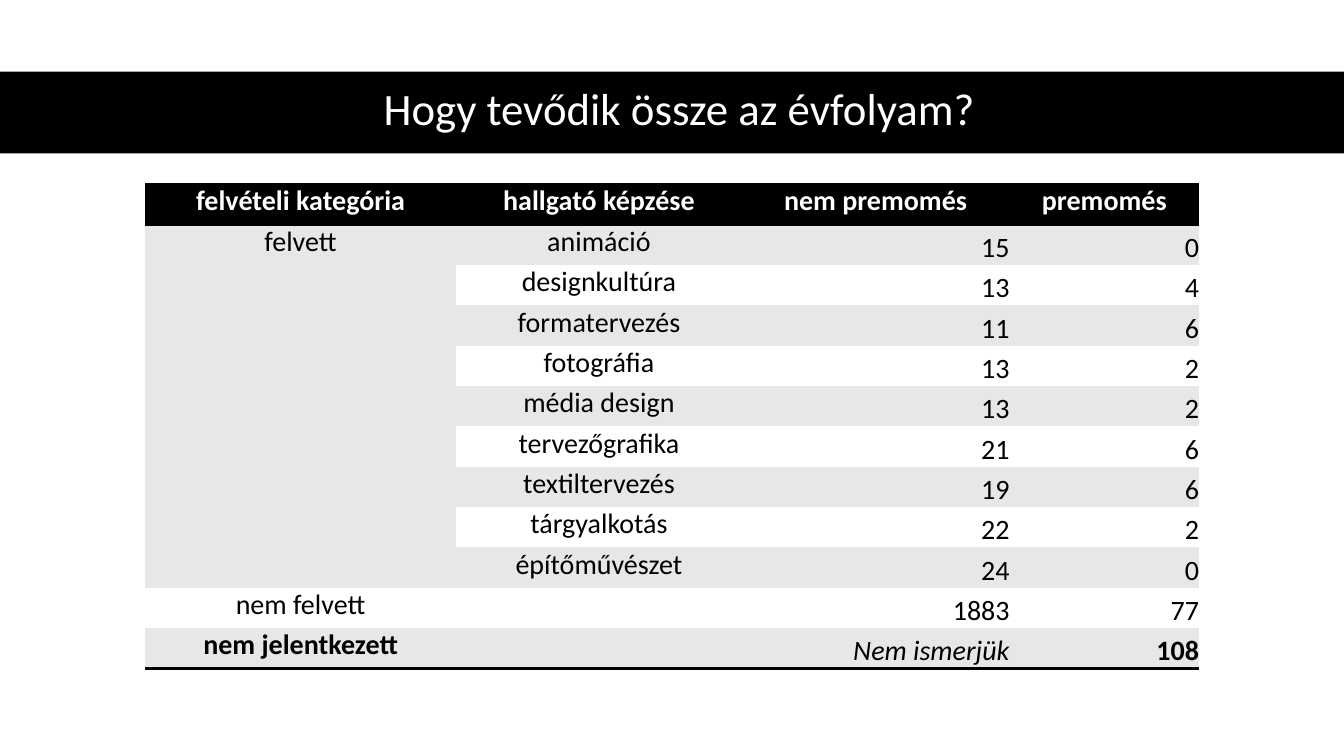
from lxml import etree
from pptx import Presentation
from pptx import util as u
from pptx.dml.color import RGBColor
from pptx.enum import shapes, text
from pptx.oxml import ns

COLORS = {"black": "000000", "white": "FFFFFF", "band": "E7E7E7"}
NO_STYLE = "{2D5ABB26-0587-4C30-8999-92F81FD0307C}"
COLUMN_WIDTHS = [222.5, 203.75, 191.5, 135.35]
ROW_HEIGHT = 28.85
HEADER = ["felvételi kategória", "hallgató képzése", "nem premomés", "premomés"]
ADMITTED = [
    ("animáció", 15, 0),
    ("designkultúra", 13, 4),
    ("formatervezés", 11, 6),
    ("fotográfia", 13, 2),
    ("média design", 13, 2),
    ("tervezőgrafika", 21, 6),
    ("textiltervezés", 19, 6),
    ("tárgyalkotás", 22, 2),
    ("építőművészet", 24, 0),
]
ROWS = [
    HEADER,
    *[("" if index else "felvett", *row) for index, row in enumerate(ADMITTED)],
    ("nem felvett", "", 1883, 77),
    ("nem jelentkezett", "", "Nem ismerjük", 108),
]


class SlideBuilder:
    """Holds the style and the current slide, and adds elements to it."""

    def __init__(self, page, font="Calibri"):
        self.page = page
        self.font = font

    def color(self, name):
        return RGBColor.from_string(COLORS[name])

    def set_text(self, frame, words, size, color, align, bold=False, italic=False):
        frame.text = words
        para = frame.paragraphs[0]
        para.alignment = align
        for span in para.runs:
            span.font.name = self.font
            span.font.size = u.Pt(size)
            span.font.bold = bold
            span.font.italic = italic
            span.font.color.rgb = self.color(color)
        return para

    def band(self, left, top, width, height, color):
        box = self.page.shapes.add_shape(
            shapes.MSO_SHAPE.RECTANGLE, *map(u.Pt, (left, top, width, height)))
        box.shadow.inherit = False
        box.fill.solid()
        box.fill.fore_color.rgb = self.color(color)
        box.line.fill.background()

    def title(self, left, top, width, height, words):
        box = self.page.shapes.add_textbox(*map(u.Pt, (left, top, width, height)))
        frame = box.text_frame
        frame.word_wrap = True
        frame.vertical_anchor = text.MSO_ANCHOR.MIDDLE
        para = self.set_text(frame, words, 32, "white", text.PP_ALIGN.CENTER)
        para.line_spacing = 0.9

    def border(self, cell, side):
        properties = cell._tc.get_or_add_tcPr()
        line = etree.SubElement(properties, ns.qn(f"a:ln{side}"), w=str(u.Pt(2)))
        fill = etree.SubElement(line, ns.qn("a:solidFill"))
        etree.SubElement(fill, ns.qn("a:srgbClr"), val=COLORS["black"])

    def cell(self, cell, words, fill, color, numeric, bold, italic, sides):
        cell.margin_left = cell.margin_right = cell.margin_top = cell.margin_bottom = 0
        cell.vertical_anchor = text.MSO_ANCHOR.BOTTOM if numeric else text.MSO_ANCHOR.TOP
        for side in sides:
            self.border(cell, side)
        cell.fill.solid()
        cell.fill.fore_color.rgb = self.color(fill)
        align = text.PP_ALIGN.RIGHT if numeric else text.PP_ALIGN.CENTER
        self.set_text(cell.text_frame, str(words), 20, color, align, bold, italic)

    def table(self, left, top, rows, widths, row_height):
        size = (sum(widths), row_height * len(rows))
        frame = self.page.shapes.add_table(
            len(rows), len(widths), *map(u.Pt, (left, top, *size)))
        grid = frame.table
        grid._tbl.tblPr.find(ns.qn("a:tableStyleId")).text = NO_STYLE
        for column, width in zip(grid.columns, widths):
            column.width = u.Pt(width)
        last = len(rows) - 1
        for r, row in enumerate(rows):
            grid.rows[r].height = u.Pt(row_height)
            header = r == 0
            fill = "black" if header else "band" if r % 2 else "white"
            sides = "TB" if header else "B" if r == last else ""
            for c, words in enumerate(row):
                self.cell(
                    grid.cell(r, c), words, fill,
                    color="white" if header else "black",
                    numeric=not header and c > 1,
                    bold=header or (r == last and c != 2),
                    italic=r == last and c == 2,
                    sides=sides)
        return grid


def main():
    deck = Presentation()
    deck.slide_width, deck.slide_height = u.Pt(960), u.Pt(540)
    builder = SlideBuilder(deck.slides.add_slide(deck.slide_layouts[6]))
    builder.band(0, 51.2, 960, 58.3, "black")
    builder.title(44, 50.4, 882.7, 58.3, "Hogy tevődik össze az évfolyam?")
    grid = builder.table(103.5, 131.6, ROWS, COLUMN_WIDTHS, ROW_HEIGHT)
    grid.cell(1, 0).merge(grid.cell(len(ADMITTED), 0))
    deck.save("out.pptx")


if __name__ == "__main__":
    main()
